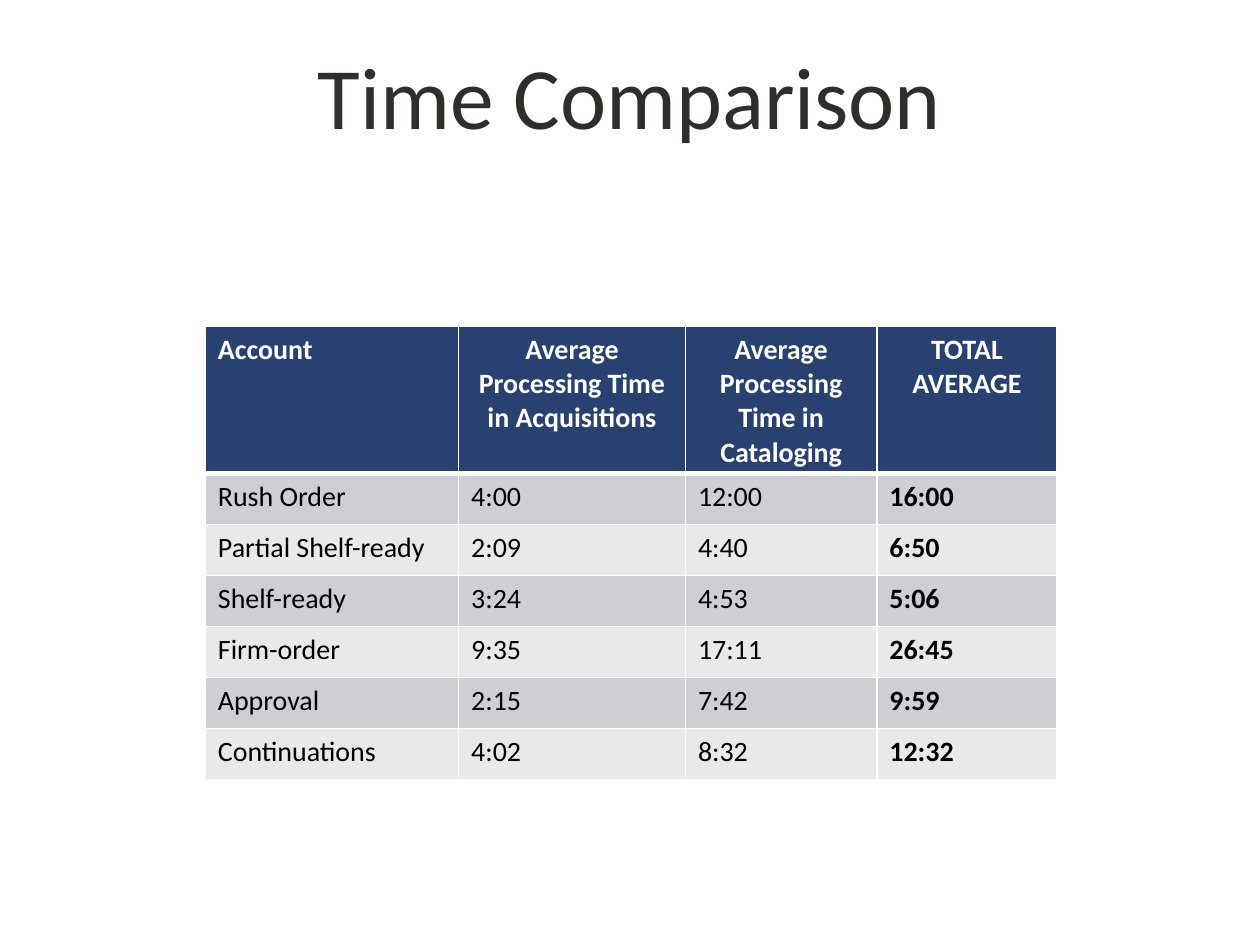
import pptx
import pptx.util
import pptx.dml.color
import pptx.enum.text
import pptx.oxml.ns
import lxml.etree

Inches = pptx.util.Inches
Pt = pptx.util.Pt
RGBColor = pptx.dml.color.RGBColor
PP_ALIGN = pptx.enum.text.PP_ALIGN

FONT = "Calibri"
TITLE_COLOR = RGBColor(0x2D, 0x2F, 0x2B)
NAVY = RGBColor(0x29, 0x41, 0x71)
BAND_DARK = RGBColor(0xCD, 0xCF, 0xD5)
BAND_LIGHT = RGBColor(0xE8, 0xE9, 0xEB)
WHITE = RGBColor(0xFF, 0xFF, 0xFF)
BLACK = RGBColor(0, 0, 0)

COLUMN_WIDTHS = [2.01, 1.8, 1.52, 1.43]
HEADER_HEIGHT = 1.17
ROW_HEIGHT = 0.405
ROWS = [
    ["Account", "Average Processing Time in Acquisitions",
     "Average Processing Time in Cataloging", "TOTAL AVERAGE"],
    ["Rush Order", "4:00", "12:00", "16:00"],
    ["Partial Shelf-ready", "2:09", "4:40", "6:50"],
    ["Shelf-ready", "3:24", "4:53", "5:06"],
    ["Firm-order", "9:35", "17:11", "26:45"],
    ["Approval", "2:15", "7:42", "9:59"],
    ["Continuations", "4:02", "8:32", "12:32"],
]


def write_text(tf, text, size, color, bold=False, align=PP_ALIGN.LEFT):
    tf.word_wrap = True
    p = tf.paragraphs[0]
    p.text = text
    p.alignment = align
    font = p.runs[0].font
    font.name = FONT
    font.size = Pt(size)
    font.bold = bold
    font.color.rgb = color


def add_title(s, text):
    sp = s.shapes.add_textbox(Inches(0.75), Inches(0), Inches(8.5), Inches(1.5))
    sp.text_frame.vertical_anchor = pptx.enum.text.MSO_ANCHOR.MIDDLE
    write_text(sp.text_frame, text, 50, TITLE_COLOR, align=PP_ALIGN.CENTER)


def set_borders(cell, top, bottom):
    qn = pptx.oxml.ns.qn
    tc_pr = cell._tc.get_or_add_tcPr()
    for side, width in (("L", 1), ("R", 1), ("T", top), ("B", bottom)):
        ln = lxml.etree.SubElement(tc_pr, qn("a:ln" + side), w=str(Pt(width)))
        fill = lxml.etree.SubElement(ln, qn("a:solidFill"))
        lxml.etree.SubElement(fill, qn("a:srgbClr"), val=str(WHITE))


def format_cell(cell, text, row, col):
    header = row == 0
    set_borders(cell, 3 if row == 1 else 1, 3 if header else 1)
    cell.fill.solid()
    if header:
        cell.fill.fore_color.rgb = NAVY
    else:
        cell.fill.fore_color.rgb = BAND_DARK if row % 2 else BAND_LIGHT
    write_text(
        cell.text_frame, text, 16,
        WHITE if header else BLACK,
        bold=header or col == len(COLUMN_WIDTHS) - 1,
        align=PP_ALIGN.CENTER if header and col else PP_ALIGN.LEFT,
    )


def add_time_table(s):
    heights = [HEADER_HEIGHT] + [ROW_HEIGHT] * (len(ROWS) - 1)
    table = s.shapes.add_table(
        len(ROWS), len(COLUMN_WIDTHS), Inches(1.63), Inches(2.59),
        Inches(sum(COLUMN_WIDTHS)), Inches(sum(heights)),
    ).table
    for column, width in zip(table.columns, COLUMN_WIDTHS):
        column.width = Inches(width)
    for row, height in zip(table.rows, heights):
        row.height = Inches(height)
    for i, values in enumerate(ROWS):
        for j, text in enumerate(values):
            format_cell(table.cell(i, j), text, i, j)


def main():
    prs = pptx.Presentation()
    prs.slide_width = Inches(10)
    prs.slide_height = Inches(7.5)
    s = prs.slides.add_slide(prs.slide_layouts[6])
    add_title(s, "Time Comparison")
    add_time_table(s)
    prs.save("out.pptx")


if __name__ == "__main__":
    main()
